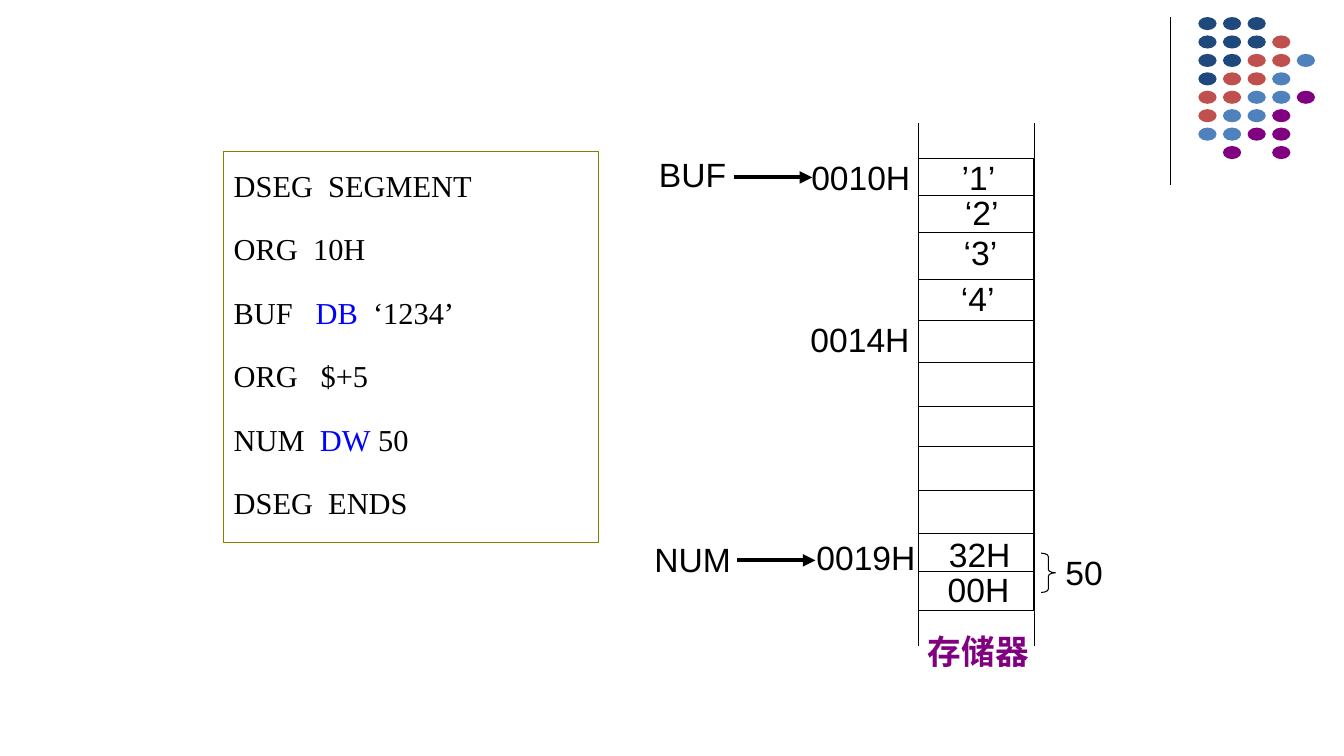
import pptx
import pptx.util
import pptx.dml.color
import pptx.enum.shapes
import pptx.enum.text
import pptx.oxml
import pptx.oxml.ns
from dataclasses import dataclass

Cm = pptx.util.Cm
Pt = pptx.util.Pt
SHAPES = pptx.enum.shapes.MSO_SHAPE
ALIGN = pptx.enum.text.PP_ALIGN


@dataclass(frozen=True)
class Theme:
    ink: str = "000000"
    keyword: str = "0000FF"
    frame: str = "808000"
    navy: str = "1F497D"
    red: str = "C0504D"
    blue: str = "4F81BD"
    purple: str = "800080"
    label_font: str = "Arial"
    code_font: str = "Times New Roman"
    label_size: float = 24
    code_size: float = 21.7
    thin: float = 0.75
    thick: float = 3


class SlideBuilder:
    def __init__(self, slide, theme):
        self.slide = slide
        self.theme = theme

    def color(self, name):
        return pptx.dml.color.RGBColor.from_string(getattr(self.theme, name))

    def line(self, x1, y1, x2, y2, width="thin", arrow=False):
        connector = self.slide.shapes.add_connector(
            pptx.enum.shapes.MSO_CONNECTOR.STRAIGHT, Cm(x1), Cm(y1), Cm(x2), Cm(y2))
        connector.line.color.rgb = self.color("ink")
        connector.line.width = Pt(getattr(self.theme, width))
        if arrow:
            head = pptx.oxml.parse_xml(
                f'<a:tailEnd {pptx.oxml.ns.nsdecls("a")} type="triangle"/>')
            connector.line._get_or_add_ln().append(head)
        effects = pptx.oxml.parse_xml(f'<a:effectLst {pptx.oxml.ns.nsdecls("a")}/>')
        connector._element.spPr.append(effects)

    def shape(self, kind, left, top, width, height, fill=None, line=None, parent=None):
        shape = (parent or self.slide).shapes.add_shape(
            kind, Cm(left), Cm(top), Cm(width), Cm(height))
        shape.shadow.inherit = False
        if fill:
            shape.fill.solid()
            shape.fill.fore_color.rgb = self.color(fill)
        else:
            shape.fill.background()
        if line:
            shape.line.color.rgb = self.color(line)
            shape.line.width = Pt(self.theme.thin)
        else:
            shape.line.fill.background()
        return shape

    def run(self, paragraph, text, font, size, color="ink", bold=False):
        run = paragraph.add_run()
        run.text = text
        for name, value in {"name": font, "size": Pt(size), "bold": bold}.items():
            setattr(run.font, name, value)
        run.font.color.rgb = self.color(color)

    def label(self, text, left, top, width, align=ALIGN.CENTER, color="ink", bold=False):
        box = self.slide.shapes.add_textbox(Cm(left), Cm(top), Cm(width), Cm(1.27))
        box.text_frame.word_wrap = True
        paragraph = box.text_frame.paragraphs[0]
        paragraph.alignment = align
        self.run(paragraph, text, self.theme.label_font, self.theme.label_size, color, bold)

    def code(self, lines, left, top, width, height):
        box = self.shape(SHAPES.RECTANGLE, left, top, width, height, line="frame")
        frame = box.text_frame
        frame.word_wrap = True
        frame.vertical_anchor = pptx.enum.text.MSO_ANCHOR.TOP
        for index, parts in enumerate(lines):
            paragraph = frame.add_paragraph() if index else frame.paragraphs[0]
            layout = {"alignment": ALIGN.LEFT, "line_spacing": 1.3,
                      "space_before": Pt(11.5 if index else 0)}
            for name, value in layout.items():
                setattr(paragraph, name, value)
            for position, text in enumerate(parts):
                # The middle part of a split line is the keyword
                color = "keyword" if position == 1 else "ink"
                self.run(paragraph, text, self.theme.code_font, self.theme.code_size, color)

    def dots(self, rows, left, top, pitch_x, pitch_y):
        colors = {"N": "navy", "R": "red", "B": "blue", "P": "purple"}
        group = self.slide.shapes.add_group_shape()
        for row, letters in enumerate(rows):
            for column, letter in enumerate(letters):
                if letter in colors:
                    self.shape(SHAPES.OVAL, left + column * pitch_x, top + row * pitch_y,
                               0.46, 0.33, fill=colors[letter], parent=group)


def main():
    presentation = pptx.Presentation()
    presentation.slide_width = Cm(33.87)
    presentation.slide_height = Cm(19.05)
    slide = presentation.slides.add_slide(presentation.slide_layouts[6])
    builder = SlideBuilder(slide, Theme())

    # Corner decoration
    builder.line(29.49, 0.43, 29.49, 4.65)
    builder.dots(["NNN", "NNNR", "NNRRB", "NRRB", "RRBBP", "RBBP", "BBPP", " P P"],
                 30.2, 0.43, 0.62, 3.25 / 7)

    # Assembly listing
    builder.code([["DSEG  SEGMENT"], ["ORG  10H"], ["BUF   ", "DB", "  ‘1234’"],
                  ["ORG   $+5"], ["NUM  ", "DW", " 50"], ["DSEG  ENDS"]],
                 5.64, 3.81, 9.45, 9.86)

    # Memory column with its open ends
    left, top, width, height = 23.14, 3.99, 2.92, 11.4
    right, bottom = left + width, top + height
    builder.shape(SHAPES.RECTANGLE, left, top, width, height, line="ink")
    for y in (4.93, 5.87, 7.04, 8.08, 9.13, 10.25, 11.25, 12.36, 13.44, 14.41):
        builder.line(left, y, right, y)
    for x in (left, right):
        builder.line(x, top - 0.89, x, top)
        builder.line(x, bottom, x, bottom + 0.89)

    # Cell contents
    for text, x, y in (("’1’", 23.57, 3.84), ("‘2’", 23.65, 4.72), ("‘3’", 23.62, 5.72),
                       ("‘4’", 23.55, 6.88), ("32H", 23.6, 13.34), ("00H", 23.57, 14.22)):
        builder.label(text, x, y, 2.18)
    builder.label("存储器", 23.04, 15.77, 3.23, color="purple", bold=True)

    # Variable names and addresses
    for text, x, y, label_width in (("BUF", 15.93, 3.76, 2.62), ("NUM", 15.93, 13.46, 2.74),
                                    ("0010H", 20.12, 3.84, 3.07), ("0014H", 19.79, 7.9, 3.38),
                                    ("0019H", 19.94, 13.41, 3.38)):
        builder.label(text, x, y, label_width, ALIGN.RIGHT)
    for x, y in ((18.49, 4.47), (18.57, 14.12)):
        builder.line(x, y, x + 1.98, y, "thick", arrow=True)

    # Word value
    brace = builder.shape(SHAPES.RIGHT_BRACE, 26.24, 13.94, 0.36, 0.99, line="ink")
    brace.adjustments[0] = 0.235
    builder.label("50", 26.47, 13.79, 1.7)

    presentation.save("out.pptx")


if __name__ == "__main__":
    main()
